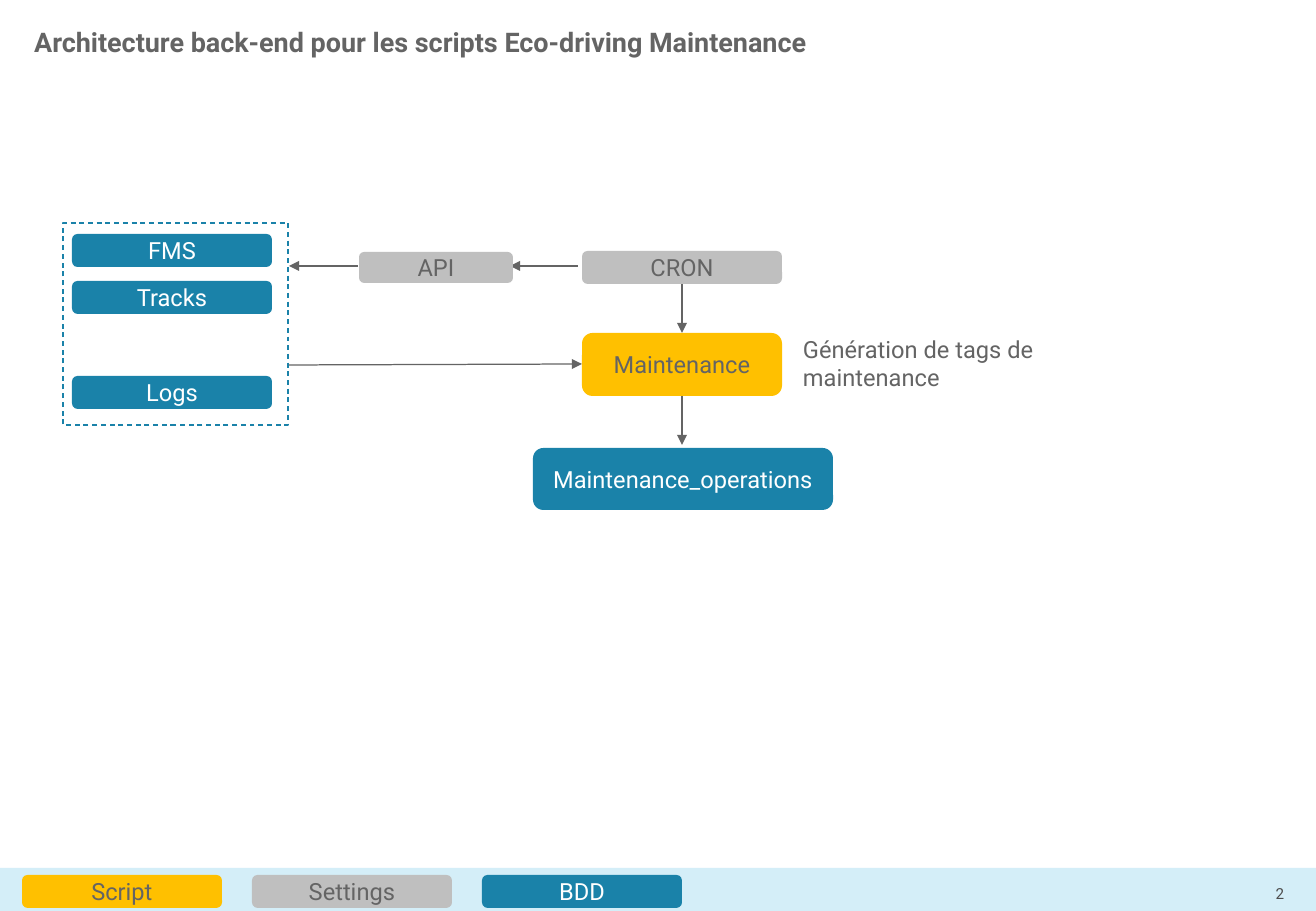
from pptx import Presentation
from pptx.dml.color import RGBColor
from pptx.enum.dml import MSO_LINE
from pptx.enum.shapes import MSO_CONNECTOR, MSO_SHAPE
from pptx.enum.text import MSO_ANCHOR, PP_ALIGN
from pptx.oxml.ns import qn
from pptx.util import Pt
from lxml.etree import SubElement

PX = 914400 / 121.5
COLORS = {
    "text": "646464",
    "number": "4D4D4D",
    "white": "FFFFFF",
    "footer": "D4EEF8",
    "script": "FFC000",
    "settings": "BFBFBF",
    "database": "1A82A9",
}


def write(frame, text, size, color, align, anchor, bold=False):
    frame.word_wrap = True
    frame.vertical_anchor = anchor
    paragraph = frame.paragraphs[0]
    paragraph.alignment = align
    run = paragraph.add_run()
    run.text = text
    run.font.name = "Roboto"
    run.font.size = Pt(size)
    run.font.bold = bold
    run.font.color.rgb = RGBColor.from_string(COLORS[color])


def add_block(preset, box, fill=None):
    block = slide.shapes.add_shape(preset, *[round(v * PX) for v in box])
    block.shadow.inherit = False
    block.line.fill.background()
    if fill:
        block.fill.solid()
        block.fill.fore_color.rgb = RGBColor.from_string(COLORS[fill])
    else:
        block.fill.background()
    return block


prs = Presentation()
prs.slide_width = round(1316 * PX)
prs.slide_height = round(911 * PX)
slide = prs.slides.add_slide(prs.slide_layouts[5])

title = slide.shapes.title
title.left, title.top, title.width, title.height = [
    round(v * PX) for v in (22, 19, 1267, 91)
]
write(title.text_frame, "Architecture back-end pour les scripts Eco-driving Maintenance",
      16, "text", PP_ALIGN.LEFT, MSO_ANCHOR.TOP, bold=True)

add_block(MSO_SHAPE.RECTANGLE, (0, 868, 1316, 43), "footer")
sources = add_block(MSO_SHAPE.RECTANGLE, (63, 223, 225, 202))
sources.line.color.rgb = RGBColor.from_string(COLORS["database"])
sources.line.width = Pt(0.75)
sources.line.dash_style = MSO_LINE.DASH

arrows = [
    (682, 284, 682, 333),
    (578, 266, 510, 266),
    (358, 266, 289, 266),
    (289, 365, 582, 364),
    (682, 396, 682, 445),
]
for ends in arrows:
    arrow = slide.shapes.add_connector(MSO_CONNECTOR.STRAIGHT, *[round(v * PX) for v in ends])
    arrow.line.color.rgb = RGBColor.from_string(COLORS["text"])
    arrow.line.width = Pt(0.75)
    SubElement(arrow.line._get_or_add_ln(), qn("a:tailEnd"), type="triangle")
    SubElement(arrow._element.spPr, qn("a:effectLst"))

nodes = [
    ("FMS", "database", (72, 234, 200, 33)),
    ("Tracks", "database", (72, 281, 200, 33)),
    ("Logs", "database", (72, 376, 200, 33)),
    ("API", "settings", (359, 252, 154, 31)),
    ("CRON", "settings", (582, 251, 200, 33)),
    ("Maintenance", "script", (582, 333, 200, 63)),
    ("Maintenance_operations", "database", (533, 448, 300, 62)),
]
legend = [("Script", "script"), ("Settings", "settings"), ("BDD", "database")]
for column, (label, role) in enumerate(legend):
    nodes.append((label, role, (22 + 230 * column, 875, 200, 33)))

for label, role, box in nodes:
    node = add_block(MSO_SHAPE.ROUNDED_RECTANGLE, box, role)
    frame = node.text_frame
    frame.margin_top = frame.margin_bottom = 0
    write(frame, label, 14, "white" if role == "database" else "text",
          PP_ALIGN.CENTER, MSO_ANCHOR.MIDDLE)

captions = [
    ("Génération de tags de maintenance", (791, 329, 324, 69), 14, "text",
     PP_ALIGN.LEFT, MSO_ANCHOR.TOP),
    ("2", (1234, 880, 62, 27), 9, "number", PP_ALIGN.RIGHT, MSO_ANCHOR.MIDDLE),
]
for text, box, *style in captions:
    caption = slide.shapes.add_textbox(*[round(v * PX) for v in box])
    write(caption.text_frame, text, *style)

prs.save("out.pptx")
